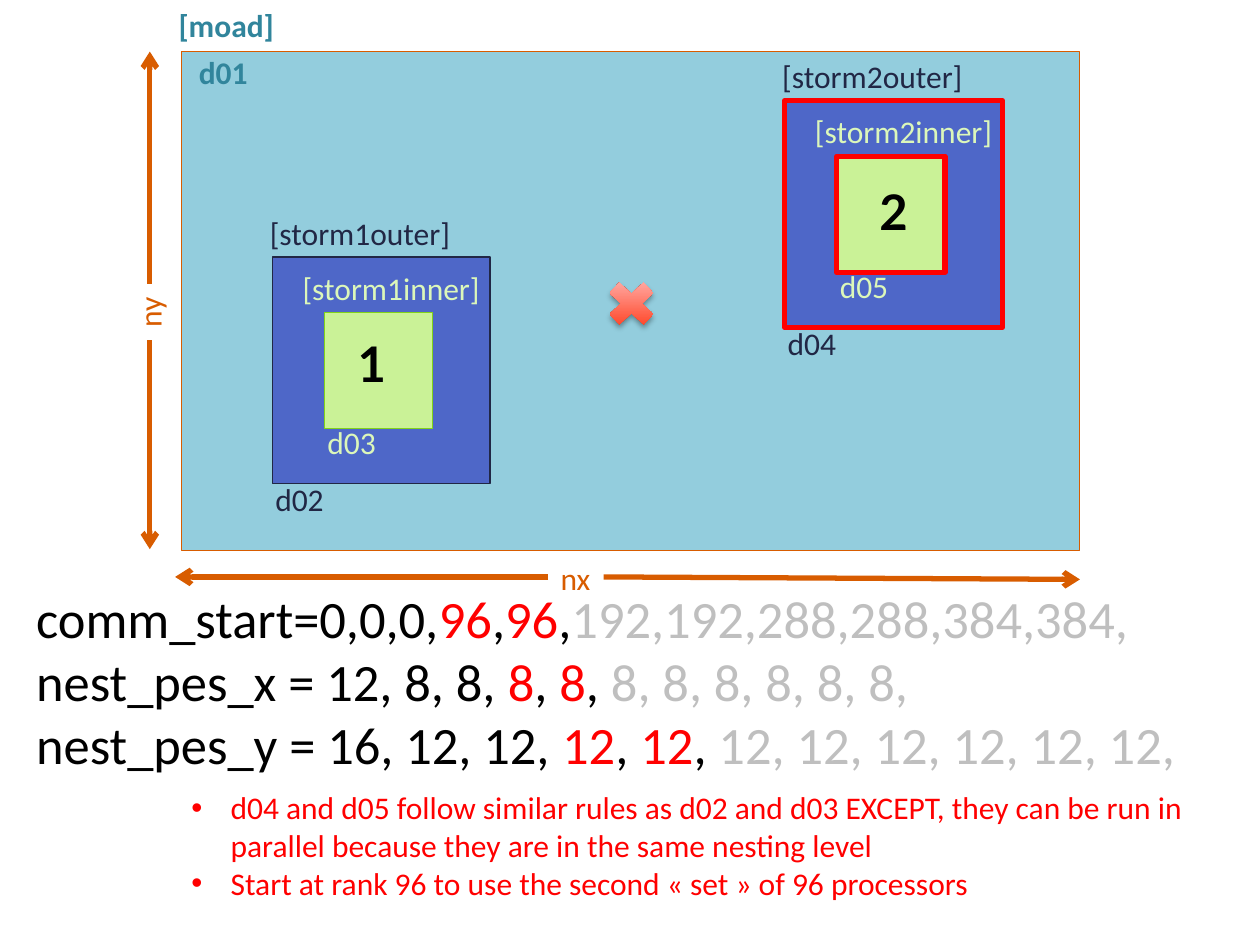
"""Build the slide on nested storm domains and their processor layout."""
from lxml import etree
from pptx import Presentation
from pptx.dml.color import RGBColor
from pptx.enum.shapes import MSO_CONNECTOR, MSO_SHAPE
from pptx.enum.text import MSO_ANCHOR, MSO_AUTO_SIZE
from pptx.oxml import parse_xml
from pptx.oxml.ns import nsdecls, qn
from pptx.util import Cm, Pt

COLORS = {
    "sea": "93CDDD", "teal": "31859C", "orange": "D85C00", "blue": "4E67C8",
    "navy": "212745", "lime": "CAF297", "green": "81D31A", "pale": "DCF7BA",
    "red": "FF0000", "black": "000000", "grey": "BFBFBF",
    "coral": "FF3716", "pink": "FFBAB7",
}

DOMAIN = (3.66, 1.04, 18.11, 10.06)
CROSS = (12.07, 5.51, 1.32, 1.22)
OUTER_SIZE = (4.39, 4.57)
INNER_OFFSET, INNER_SIZE = (1.05, 1.12), (2.18, 2.34)
STORMS = [
    {"number": "1", "corner": (5.49, 5.18), "number_offset": (1.47, 1.42),
     "outer": "d02", "inner": "d03", "edges": ("navy", "green"), "weight": 0.75},
    {"number": "2", "corner": (15.82, 2.03), "number_offset": (1.66, 1.5),
     "outer": "d04", "inner": "d05", "edges": ("red", "red"), "weight": 3},
]
DOMAIN_LABELS = [("[moad]", (3.35, 0, 2.46, 1.02)), ("d01", (3.76, 0.94, 1.5, 1.02))]
AXES = [
    {"name": "nx", "box": (11.05, 11.13, 1.12, 1.02), "turn": 0,
     "arrows": [(3, (12.17, 11.63), (21.77, 11.68)), (1, (11.05, 11.63), (3.53, 11.63))]},
    {"name": "ny", "box": (2.44, 5.77, 1.14, 1.02), "turn": 270,
     "arrows": [(1, (3.02, 6.86), (3.02, 11.07)), (3, (3.02, 5.72), (3.02, 1.04))]},
]
SETTINGS = [
    [("comm_start=0,0,0,", "black"), ("96", "red"), (",", "black"), ("96", "red"),
     (",", "black"), ("192,192,288,288,384,384,", "grey")],
    [("nest_pes_x = 12, 8, 8, ", "black"), ("8", "red"), (", ", "black"), ("8", "red"),
     (",", "black"), (" 8, 8, 8, 8, 8, 8,", "grey")],
    [("nest_pes_y = 16, 12, 12, ", "black"), ("12", "red"), (", ", "black"), ("12", "red"),
     (", ", "black"), ("12, 12, 12, 12, 12, 12,", "grey")],
]
NOTES = [
    "d04 and d05 follow similar rules as d02 and d03 EXCEPT, they can be run in "
    "parallel because they are in the same nesting level",
    "Start at rank 96 to use the second « set » of 96 processors",
]


def rgb(color):
    return RGBColor.from_string(COLORS[color])


def shift(corner, offset):
    return tuple(a + b for a, b in zip(corner, offset))


def add_rectangle(shapes, box, fill, edge, weight):
    rectangle = shapes.add_shape(MSO_SHAPE.RECTANGLE, *map(Cm, box))
    rectangle.shadow.inherit = False
    rectangle.fill.solid()
    rectangle.fill.fore_color.rgb = rgb(fill)
    rectangle.line.color.rgb = rgb(edge)
    rectangle.line.width = Pt(weight)


def add_text(shapes, box, lines, size=18, font="Calibri", bold=False, wrap=False):
    block = shapes.add_textbox(*map(Cm, box))
    frame = block.text_frame
    frame.word_wrap = wrap
    frame.auto_size = MSO_AUTO_SIZE.SHAPE_TO_FIT_TEXT
    for index, pieces in enumerate(lines):
        paragraph = frame.add_paragraph() if index else frame.paragraphs[0]
        for words, color in pieces:
            run = paragraph.add_run()
            run.text = words
            run.font.size = Pt(size)
            run.font.name = font
            run.font.bold = bold
            run.font.color.rgb = rgb(color)
    return block


def add_label(shapes, corner, width, words, color):
    add_text(shapes, (*corner, width, 1.02), [[(words, color)]])


def add_storm(shapes, storm):
    corner, number = storm["corner"], storm["number"]
    outer_edge, inner_edge = storm["edges"]
    add_rectangle(shapes, (*corner, *OUTER_SIZE), "blue", outer_edge, storm["weight"])
    add_rectangle(shapes, (*shift(corner, INNER_OFFSET), *INNER_SIZE),
                  "lime", inner_edge, storm["weight"])
    add_text(shapes, (*shift(corner, storm["number_offset"]), 1.12, 1.45),
             [[(number, "black")]], 28, "Lato", True)
    for offset, width, words, color in [
        ((-0.3, -1), 4.19, f"[storm{number}outer]", "navy"),
        ((0.36, 0.11), 4.14, f"[storm{number}inner]", "pale"),
        ((-0.19, 4.37), 1.5, storm["outer"], "navy"),
        ((0.86, 3.23), 1.5, storm["inner"], "pale"),
    ]:
        add_label(shapes, shift(corner, offset), width, words, color)


def add_cross(shapes):
    cross = shapes.add_shape(MSO_SHAPE.MATH_MULTIPLY, *map(Cm, CROSS))
    cross.line.fill.background()
    cross.fill.gradient()
    cross.fill.gradient_angle = 90
    for stop, color in zip(cross.fill.gradient_stops, ("coral", "pink")):
        stop.color.rgb = rgb(color)
    cross.shadow.inherit = False
    cross._element.spPr.find(qn("a:effectLst")).append(parse_xml(
        f'<a:outerShdw {nsdecls("a")} blurRad="{Pt(3.1)}" dist="{Pt(1.8)}" dir="5400000" '
        'rotWithShape="0"><a:srgbClr val="000000"><a:alpha val="35000"/></a:srgbClr>'
        '</a:outerShdw>'))


def add_axis(shapes, axis):
    label = add_text(shapes, axis["box"], [[(axis["name"], "orange")]])
    label.rotation = axis["turn"]
    if not axis["turn"]:
        label.text_frame.vertical_anchor = MSO_ANCHOR.BOTTOM
    for side, start, end in axis["arrows"]:
        arrow = shapes.add_connector(MSO_CONNECTOR.STRAIGHT, *map(Cm, start + end))
        arrow.begin_connect(label, side)
        arrow.begin_x, arrow.begin_y = map(Cm, start)
        arrow.end_x, arrow.end_y = map(Cm, end)
        arrow.line.color.rgb = rgb("orange")
        arrow.line.width = Pt(3)
        etree.SubElement(arrow.line._get_or_add_ln(), qn("a:tailEnd"), type="arrow")
        etree.SubElement(arrow._element.spPr, qn("a:effectLst"))


def add_notes(shapes):
    notes = add_text(shapes, (3.61, 15.77, 21.79, 2.57),
                     [[(note, "red")] for note in NOTES], wrap=True)
    for paragraph in notes.text_frame.paragraphs:
        properties = paragraph._p.get_or_add_pPr()
        properties.set("marL", str(Cm(0.79)))
        properties.set("indent", str(-Cm(0.79)))
        etree.SubElement(properties, qn("a:buFont"), typeface="Arial")
        etree.SubElement(properties, qn("a:buChar"), char="•")


def main():
    presentation = Presentation()
    presentation.slide_width, presentation.slide_height = Cm(25.4), Cm(19.05)
    shapes = presentation.slides.add_slide(presentation.slide_layouts[6]).shapes
    add_rectangle(shapes, DOMAIN, "sea", "orange", 0.75)
    for words, box in DOMAIN_LABELS:
        add_text(shapes, box, [[(words, "teal")]], bold=True)
    for storm in STORMS:
        add_storm(shapes, storm)
    add_cross(shapes)
    for axis in AXES:
        add_axis(shapes, axis)
    add_text(shapes, (0.48, 11.68, 24.21, 4.11), SETTINGS, 30, wrap=True)
    add_notes(shapes)
    presentation.save("out.pptx")


if __name__ == "__main__":
    main()
